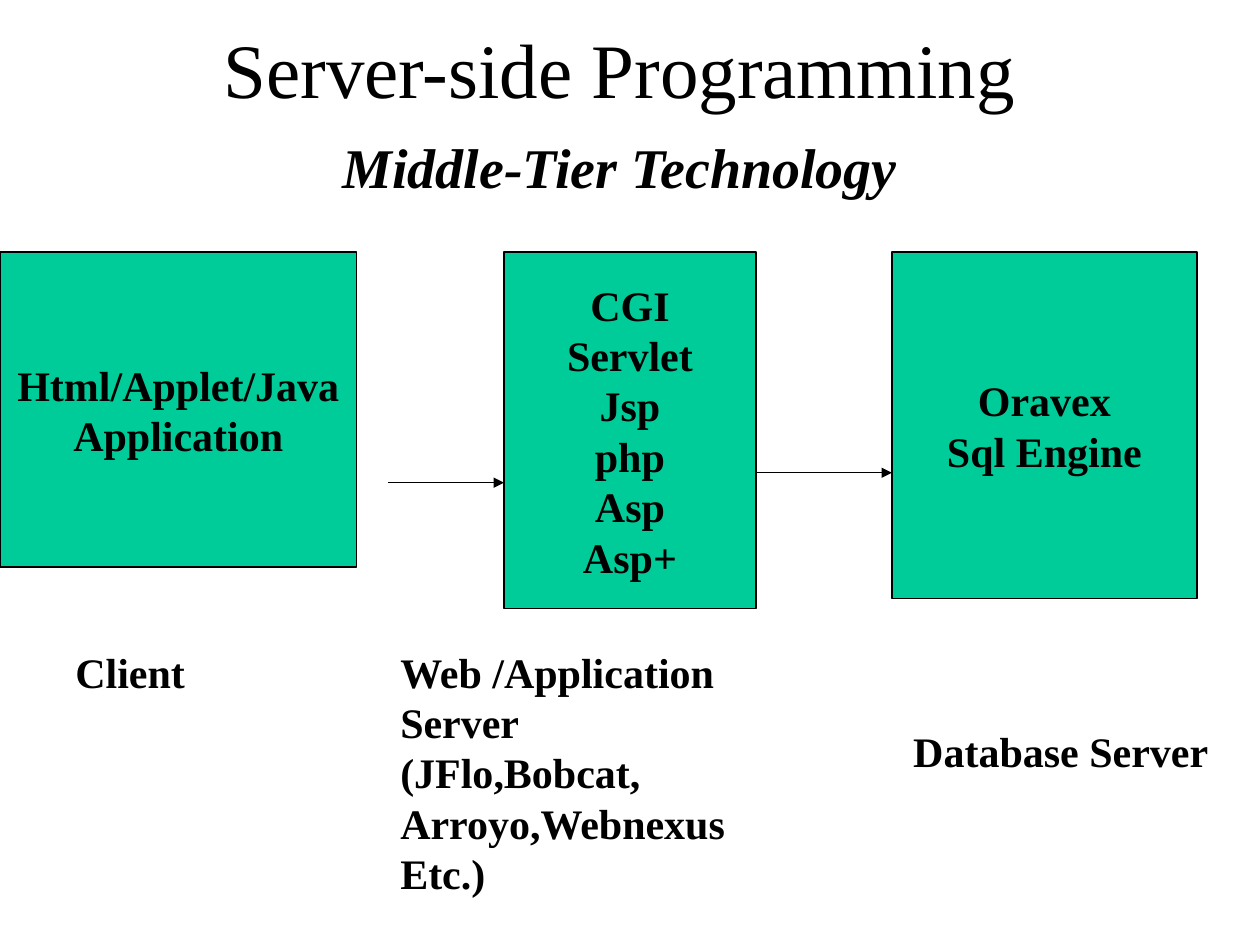
from typing import NamedTuple

from lxml import etree
from pptx import Presentation
from pptx import util as u
from pptx.dml.color import RGBColor
from pptx.enum import shapes, text
from pptx.oxml import ns

BLACK = RGBColor(0x00, 0x00, 0x00)
WHITE = RGBColor(0xFF, 0xFF, 0xFF)
GREEN = RGBColor(0x00, 0xCC, 0x99)
FONT = "Times New Roman"
TIER_TOP = 5.08


class Area(NamedTuple):
    left: float
    top: float
    width: float
    height: float

    def lengths(self) -> list:
        return [u.Cm(value) for value in self]


class Tier(NamedTuple):
    area: Area
    lines: list[str]


class Label(NamedTuple):
    area: Area
    lines: list[str]
    wraps: bool = False


class Arrow(NamedTuple):
    start: float
    end: float
    height: float


TIERS = [
    Tier(Area(0, TIER_TOP, 7.19, 6.35), ["Html/Applet/Java", "Application"]),
    Tier(Area(10.16, TIER_TOP, 5.08, 7.19),
         ["CGI", "Servlet", "Jsp", "php", "Asp", "Asp+"]),
    Tier(Area(17.98, TIER_TOP, 6.15, 6.99), ["Oravex", "Sql Engine"]),
]
ARROWS = [Arrow(7.82, 10.16, 9.73), Arrow(15.24, 17.98, 9.53)]
LABELS = [
    Label(Area(1.27, 12.9, 2.72, 1.27), ["Client"]),
    Label(Area(7.82, 12.9, 9.22, 5.33),
          ["Web /Application Server", "(JFlo,Bobcat,", "Arroyo,Webnexus", "Etc.)"],
          wraps=True),
    Label(Area(18.16, 14.5, 6.45, 1.27), ["Database Server"]),
]


def write_lines(frame, lines: list[str], align, size: int = 24,
                bold: bool = True, italic: bool = False) -> None:
    frame.text = "\n".join(lines)
    for para in frame.paragraphs:
        para.alignment = align
        para.font.name = FONT
        para.font.size = u.Pt(size)
        para.font.bold = bold
        para.font.italic = italic
        para.font.color.rgb = BLACK


def fill_placeholder(holder, area: Area, wording: str, anchor, size: int,
                     bold: bool, italic: bool, space: int) -> None:
    holder.left, holder.top, holder.width, holder.height = area.lengths()
    frame = holder.text_frame
    write_lines(frame, [wording], text.PP_ALIGN.CENTER, size, bold, italic)
    frame.auto_size = text.MSO_AUTO_SIZE.NONE
    frame.vertical_anchor = anchor
    frame.paragraphs[0].space_before = u.Pt(space)


def draw_tier(page, tier: Tier) -> None:
    box = page.shapes.add_shape(shapes.MSO_SHAPE.RECTANGLE, *tier.area.lengths())
    box.shadow.inherit = False
    box.fill.solid()
    box.fill.fore_color.rgb = GREEN
    box.line.color.rgb = BLACK
    box.line.width = u.Pt(0.75)
    box.text_frame.word_wrap = False
    box.text_frame.vertical_anchor = text.MSO_ANCHOR.MIDDLE
    write_lines(box.text_frame, tier.lines, text.PP_ALIGN.CENTER)


def draw_arrow(page, arrow: Arrow) -> None:
    line = page.shapes.add_connector(
        shapes.MSO_CONNECTOR.STRAIGHT, u.Cm(arrow.start), u.Cm(arrow.height),
        u.Cm(arrow.end), u.Cm(arrow.height))
    line.line.color.rgb = BLACK
    line.line.width = u.Pt(0.75)
    etree.SubElement(line.line._get_or_add_ln(), ns.qn("a:tailEnd"), type="triangle")
    etree.SubElement(line._element.spPr, ns.qn("a:effectLst"))


def draw_label(page, label: Label) -> None:
    frame = page.shapes.add_textbox(*label.area.lengths()).text_frame
    frame.word_wrap = label.wraps
    frame.auto_size = text.MSO_AUTO_SIZE.SHAPE_TO_FIT_TEXT
    write_lines(frame, label.lines, text.PP_ALIGN.LEFT)


def main() -> None:
    deck = Presentation()
    deck.slide_width, deck.slide_height = u.Cm(25.4), u.Cm(19.05)
    page = deck.slides.add_slide(deck.slide_layouts[0])
    page.background.fill.solid()
    page.background.fill.fore_color.rgb = WHITE

    fill_placeholder(page.shapes.title, Area(1.7, 0, 21.59, 2.74),
                     "Server-side Programming", text.MSO_ANCHOR.MIDDLE,
                     size=44, bold=False, italic=False, space=0)
    fill_placeholder(page.placeholders[1], Area(3.61, 2.54, 17.78, 2.34),
                     "Middle-Tier Technology", text.MSO_ANCHOR.TOP,
                     size=32, bold=True, italic=True, space=8)
    for tier in TIERS:
        draw_tier(page, tier)
    for arrow in ARROWS:
        draw_arrow(page, arrow)
    for label in LABELS:
        draw_label(page, label)
    deck.save("out.pptx")


if __name__ == "__main__":
    main()
